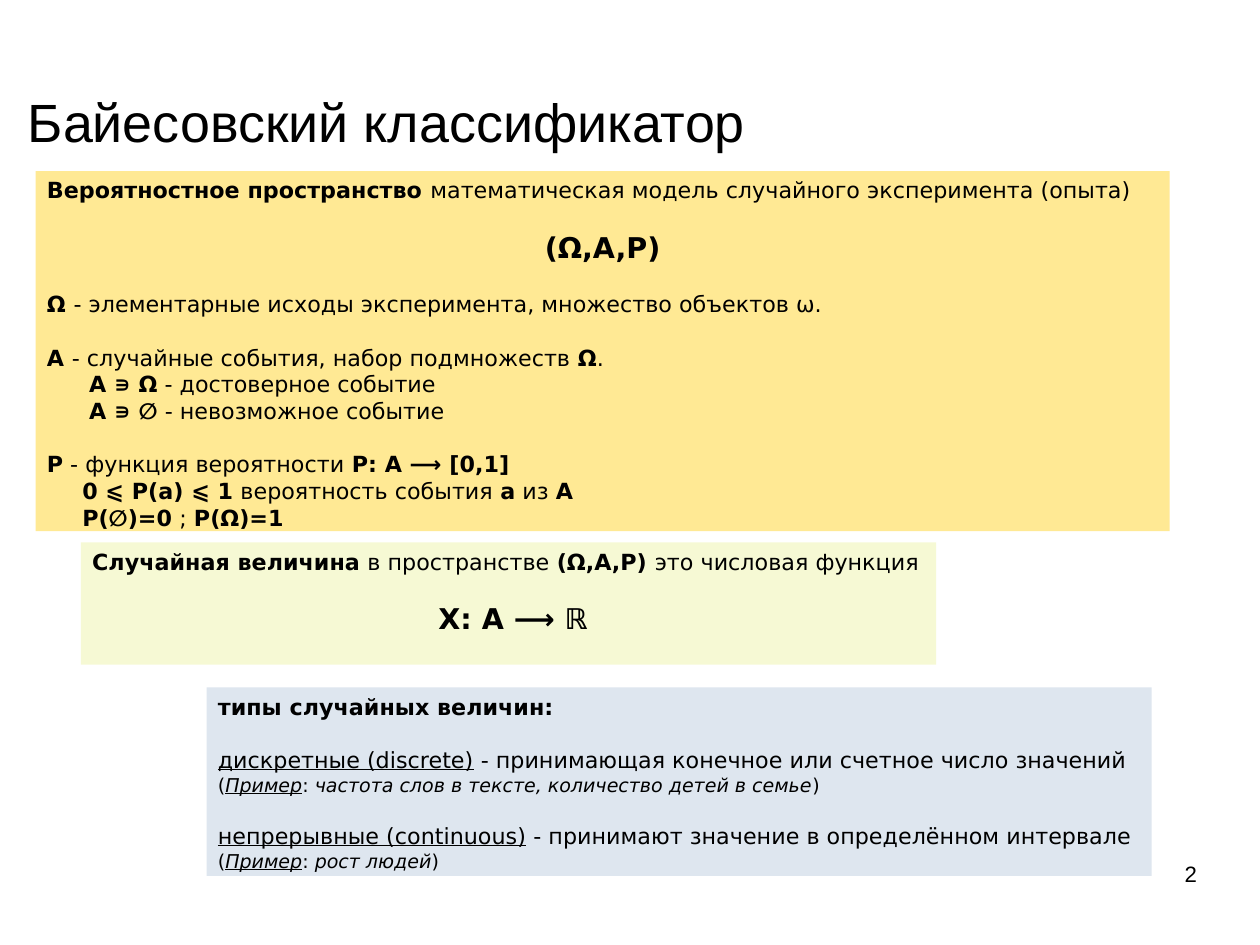
from pptx import Presentation
from pptx.dml.color import RGBColor
from pptx.enum.shapes import MSO_SHAPE
from pptx.enum.text import MSO_ANCHOR, MSO_AUTO_SIZE, PP_ALIGN
from pptx.util import Emu, Inches, Pt

RECTANGLE = MSO_SHAPE.RECTANGLE
TOP, MIDDLE = MSO_ANCHOR.TOP, MSO_ANCHOR.MIDDLE
NO_AUTOFIT = MSO_AUTO_SIZE.NONE
LEFT, CENTER, RIGHT = PP_ALIGN.LEFT, PP_ALIGN.CENTER, PP_ALIGN.RIGHT

BLACK = RGBColor(0x00, 0x00, 0x00)
AMBER = RGBColor(0xFF, 0xE9, 0x94)
LIME = RGBColor(0xF6, 0xF9, 0xD4)
MIST = RGBColor(0xDE, 0xE6, 0xEF)

# The 28 by 21 cm page of LibreOffice Impress.
SLIDE_WIDTH, SLIDE_HEIGHT = Emu(10080625), Emu(7559675)
TITLE_FONT, BODY_FONT = "Arial", "DejaVu Sans"
BODY, FORMULA, EXAMPLE = 14, 18, 12
GAP = 16.7  # points, one body line

TITLE = "Байесовский классификатор"
PAGE_NUMBER = "2"

# Run: (text, style letters b, i, u).
# Line: (runs, size, alignment, left indent in inches, space before in points).
PROBABILITY_SPACE = [
    ([("Вероятностное пространство ", "b"),
      ("математическая модель случайного эксперимента (опыта)", "")], BODY, LEFT, 0, 0),
    ([("(Ω,A,P)", "b")], FORMULA, CENTER, 0, GAP),
    ([("Ω ", "b"), ("- элементарные исходы эксперимента, множество объектов ω.", "")],
     BODY, LEFT, 0, GAP),
    ([("A ", "b"), ("- случайные события, набор подмножеств ", ""), ("Ω", "b"), (".", "")],
     BODY, LEFT, 0, GAP),
    ([("A ∍ Ω", "b"), (" - достоверное событие", "")], BODY, LEFT, 0.37, 0),
    ([("A ∍ ∅", "b"), (" - невозможное событие", "")], BODY, LEFT, 0.37, 0),
    ([("P", "b"), (" - функция вероятности ", ""), ("P: A ⟶ [0,1]", "b")], BODY, LEFT, 0, GAP),
    ([("0 ⩽ P(a) ⩽ 1", "b"), (" вероятность события ", ""), ("a", "b"), (" из ", ""),
      ("A", "b")], BODY, LEFT, 0.31, 0),
    ([("P(∅)=0", "b"), (" ; ", ""), ("P(Ω)=1", "b")], BODY, LEFT, 0.31, 0),
]
RANDOM_VARIABLE = [
    ([("Случайная величина", "b"), (" в пространстве ", ""), ("(Ω,A,P) ", "b"),
      ("это числовая функция", "")], BODY, LEFT, 0, 0),
    ([("X: A ⟶ ℝ", "b")], FORMULA, CENTER, 0.08, GAP),
]
VARIABLE_TYPES = [
    ([("типы случайных величин:", "b")], BODY, LEFT, 0, 0),
    ([("дискретные (discrete)", "u"),
      (" - принимающая конечное или счетное число значений", "")], BODY, LEFT, 0, GAP),
    ([("(", ""), ("Пример", "iu"), (": ", ""),
      ("частота слов в тексте, количество детей в семье", "i"), (")", "")],
     EXAMPLE, LEFT, 0, 0),
    ([("непрерывные (continuous)", "u"),
      (" - принимают значение в определённом интервале", "")], BODY, LEFT, 0, GAP),
    ([("(", ""), ("Пример", "iu"), (": ", ""), ("рост людей", "i"), (")", "")],
     EXAMPLE, LEFT, 0, 0),
]

# Left, top, width and height as percentages of the slide.
TITLE_AREA = (2.2, 9.5, 87.8, 6.55)
NUMBER_AREA = (71.7, 91.05, 23.3, 6.9)
PANELS = [
    ((2.83, 18.1, 90, 38.1), AMBER, PROBABILITY_SPACE),
    ((6.42, 57.4, 67.87, 12.95), LIME, RANDOM_VARIABLE),
    ((16.4, 72.75, 75, 19.95), MIST, VARIABLE_TYPES),
]


def to_box(area):
    """Turn percentages of the slide into lengths."""
    sides = (SLIDE_WIDTH, SLIDE_HEIGHT) * 2
    return [Emu(round(share * side / 100)) for share, side in zip(area, sides)]


def set_frame(frame, margin_x, margin_y, anchor):
    frame.word_wrap = True
    frame.auto_size = NO_AUTOFIT
    frame.vertical_anchor = anchor
    frame.margin_left = frame.margin_right = Inches(margin_x)
    frame.margin_top = frame.margin_bottom = Inches(margin_y)


def set_paragraph(paragraph, font_name, size, alignment):
    paragraph.alignment = alignment
    paragraph.font.name = font_name
    paragraph.font.size = Pt(size)
    paragraph.font.color.rgb = BLACK


def add_plain_text(shape, text, size, alignment, anchor):
    frame = shape.text_frame
    set_frame(frame, 0, 0, anchor)
    frame.text = text
    set_paragraph(frame.paragraphs[0], TITLE_FONT, size, alignment)


def add_panel(slide, area, color, lines):
    panel = slide.shapes.add_shape(RECTANGLE, *to_box(area))
    panel.shadow.inherit = False
    panel.fill.solid()
    panel.fill.fore_color.rgb = color
    panel.line.fill.background()
    frame = panel.text_frame
    set_frame(frame, 0.1, 0.05, TOP)
    for index, (runs, size, alignment, indent, space) in enumerate(lines):
        paragraph = frame.add_paragraph() if index else frame.paragraphs[0]
        set_paragraph(paragraph, BODY_FONT, size, alignment)
        paragraph.space_before = Pt(space)
        paragraph._p.get_or_add_pPr().set("marL", str(Inches(indent)))
        for text, style in runs:
            run = paragraph.add_run()
            run.text = text
            run.font.bold = "b" in style
            run.font.italic = "i" in style
            run.font.underline = "u" in style


def main():
    presentation = Presentation()
    presentation.slide_width = SLIDE_WIDTH
    presentation.slide_height = SLIDE_HEIGHT
    title_only = presentation.slide_layouts[5]
    slide = presentation.slides.add_slide(title_only)

    title = slide.shapes.title
    title.left, title.top, title.width, title.height = to_box(TITLE_AREA)
    add_plain_text(title, TITLE, 33.9, LEFT, MIDDLE)
    for area, color, lines in PANELS:
        add_panel(slide, area, color, lines)
    number = slide.shapes.add_textbox(*to_box(NUMBER_AREA))
    add_plain_text(number, PAGE_NUMBER, 14, RIGHT, TOP)

    presentation.save("out.pptx")


if __name__ == "__main__":
    main()
